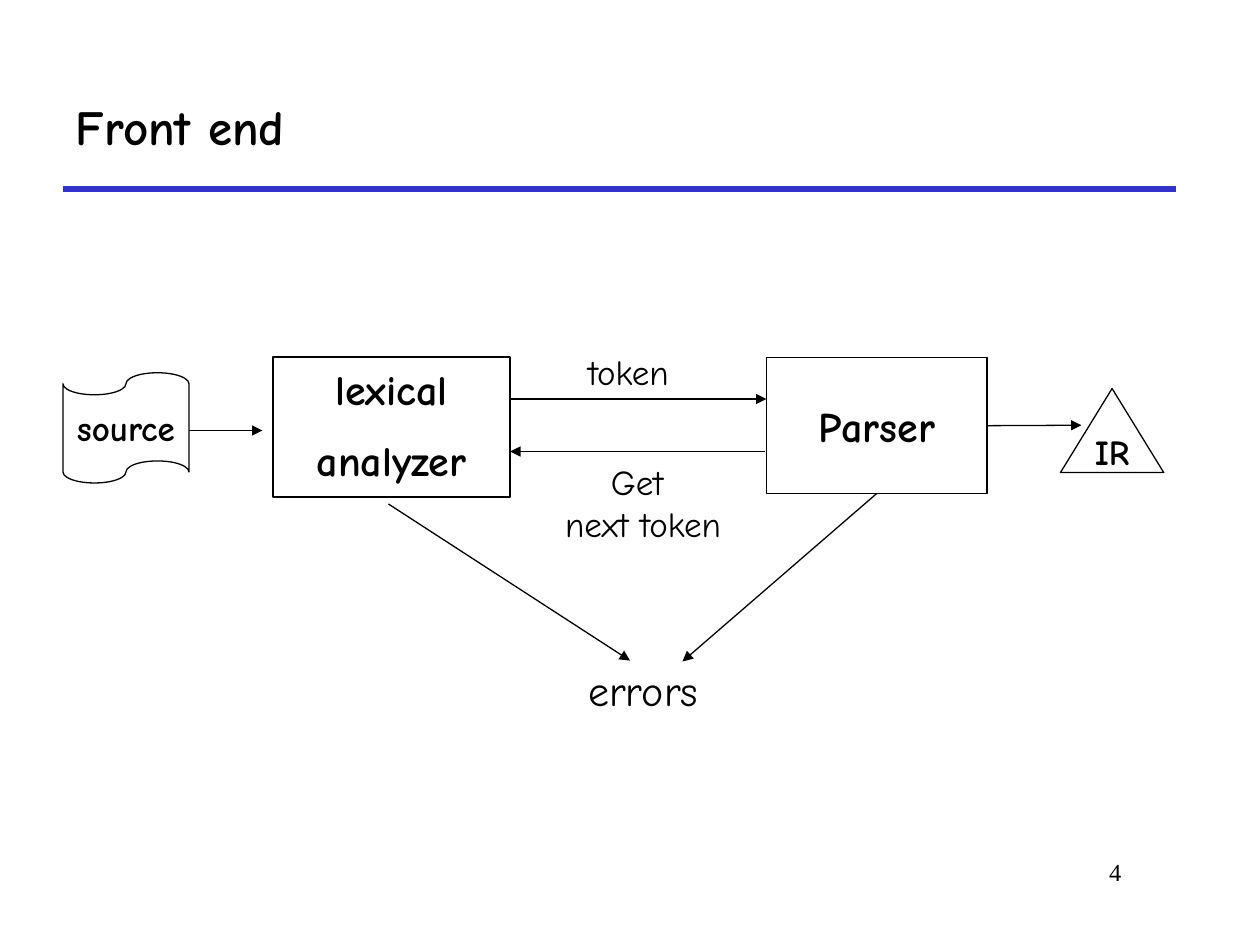
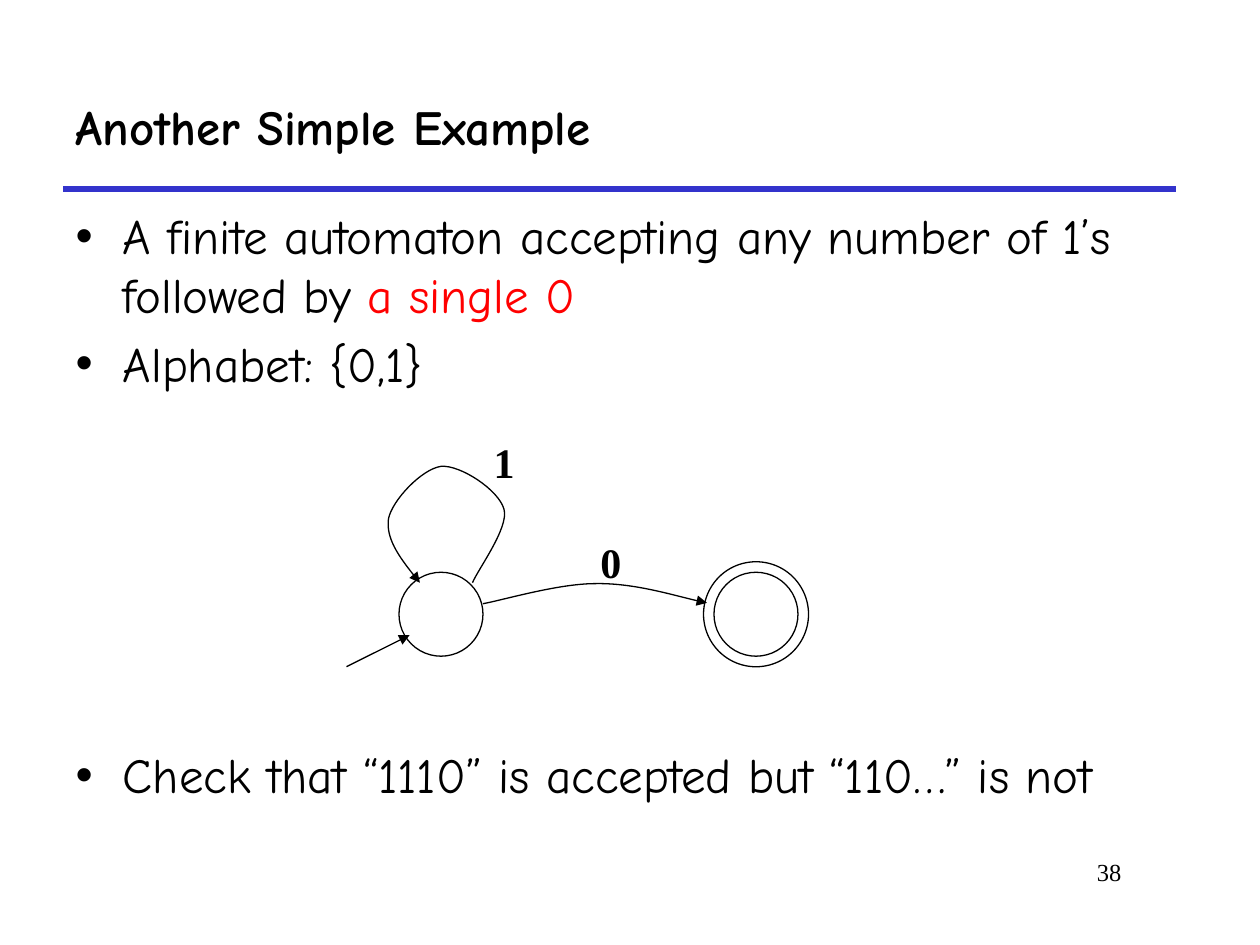
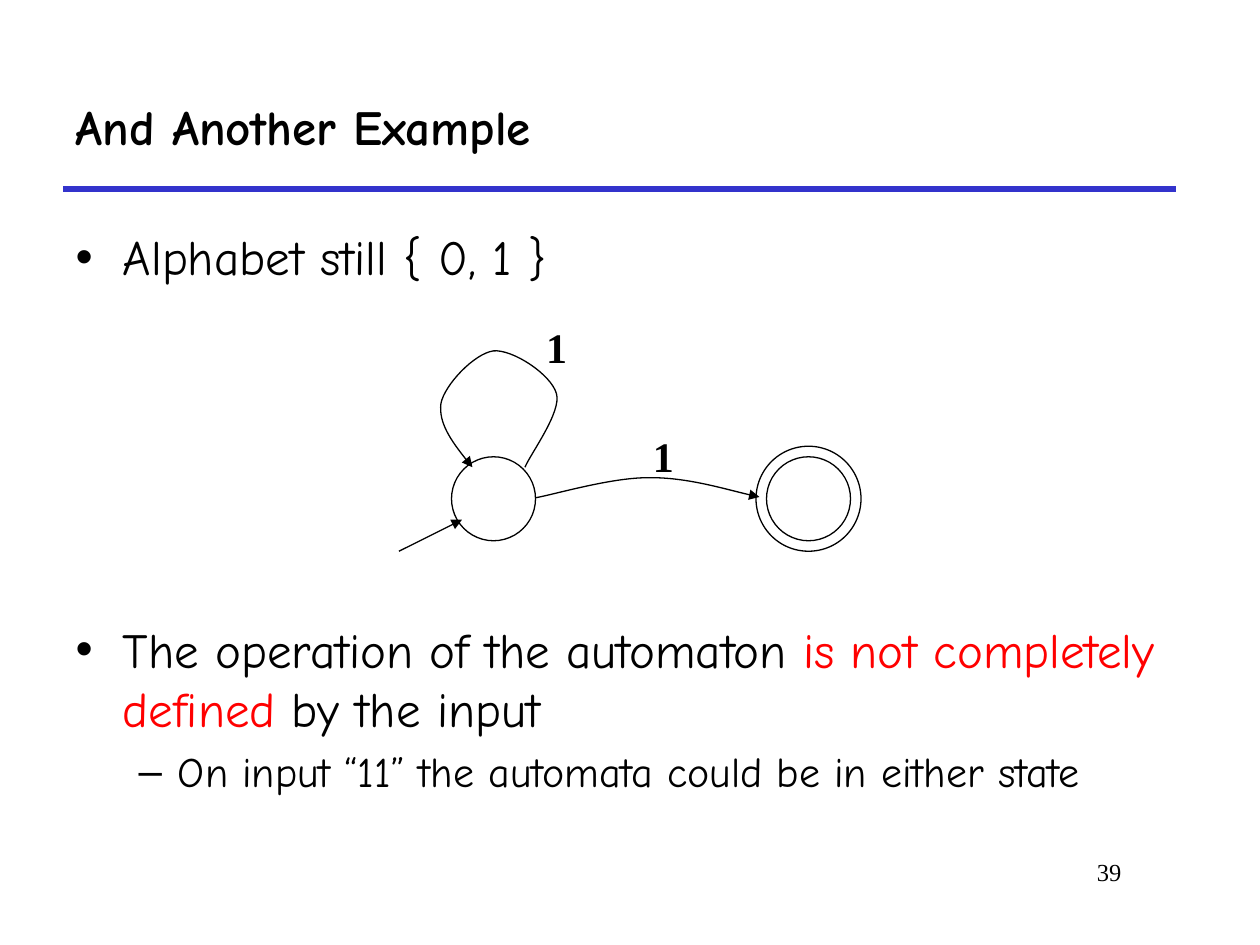
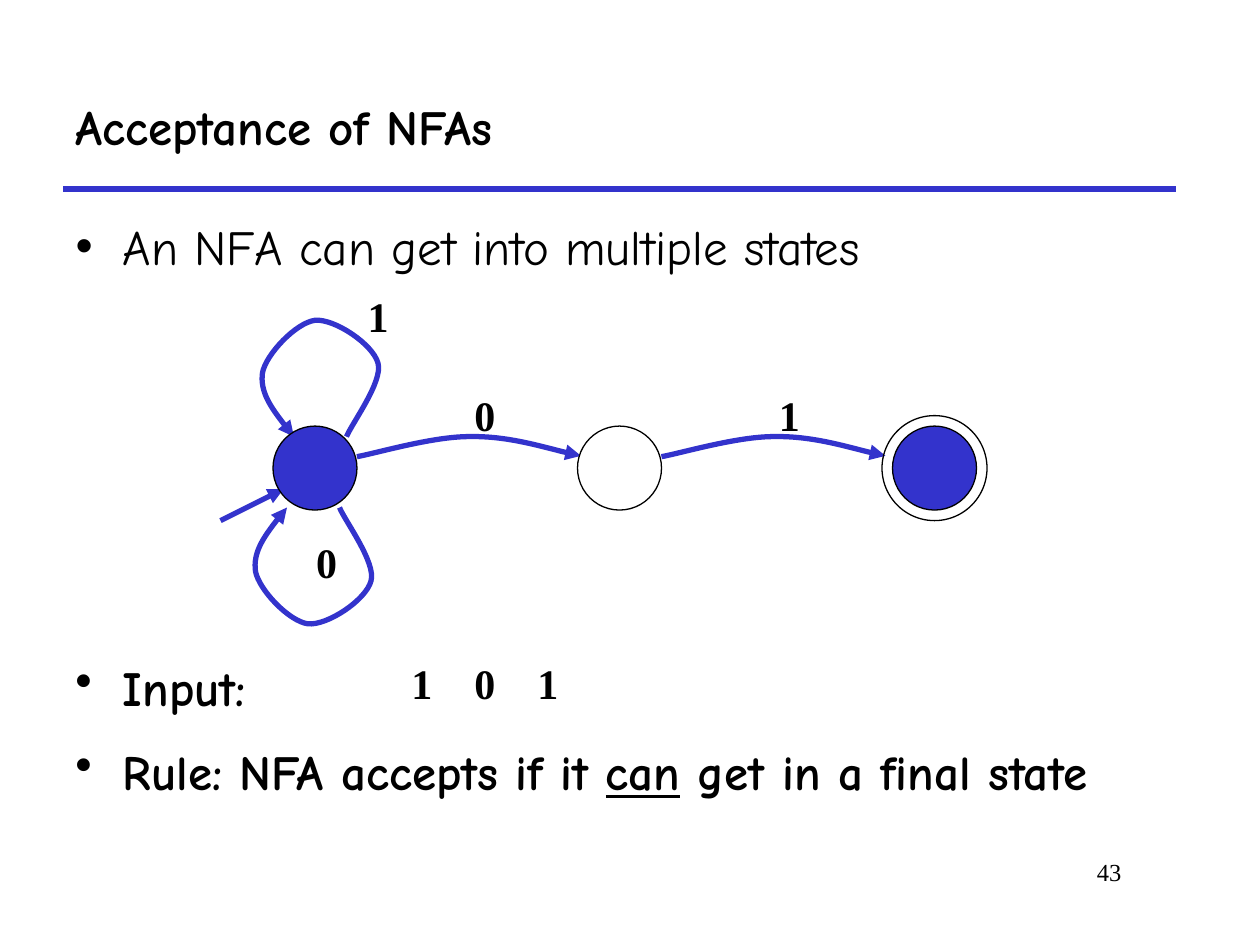
from lxml.etree import SubElement
from pptx import Presentation
from pptx.dml.color import RGBColor
from pptx.enum.shapes import MSO_CONNECTOR, MSO_SHAPE
from pptx.enum.text import MSO_ANCHOR, MSO_AUTO_SIZE, PP_ALIGN
from pptx.oxml.ns import qn
from pptx.util import Pt

BLACK = RGBColor(0x00, 0x00, 0x00)
WHITE = RGBColor(0xFF, 0xFF, 0xFF)
BLUE = RGBColor(0x33, 0x33, 0xCC)
RED = RGBColor(0xFF, 0x00, 0x00)

HAND = "Comic Neue"
SERIF = "Times New Roman"
TITLE = {"name": HAND, "size": Pt(28), "bold": True}
BODY = {"name": HAND, "size": Pt(28), "bold": False}
SUBITEM = {**BODY, "size": Pt(24)}
BOX = {"name": HAND, "size": Pt(24), "bold": True}
SMALL_BOX = {**BOX, "size": Pt(20)}
CAPTION = {"name": HAND, "size": Pt(20), "bold": False}
SYMBOL = {"name": SERIF, "size": Pt(24), "bold": True}
NUMBER = {"name": SERIF, "size": Pt(14), "bold": False}

THIN, THICK = 0.75, 3

# Bullet character, indent and hanging distance by list level
BULLETS = [("•", 27, 27), ("–", 58.5, 22.5)]

# State size, and arrow outlines as cubic curves
STATE = 48
RING = 6
LOOP = [(42, 6), (45, -1.5), (63, -25.5), (60, -36),
        (57, -47), (35, -61.5), (24, -60.5),
        (13, -59), (-4, -41), (-6, -30.5),
        (-7.5, -19.5), (1.5, -6.5), (12, 6)]
ARC = [(0, 0), (11, -2), (43, -11.5), (64, -11.5),
       (86, -12), (115, -3), (128, -0.5)]


class Deck:
    """Holds the shared style and the slide being built."""

    def __init__(self):
        self.presentation = Presentation()
        self.presentation.slide_width = Pt(720)
        self.presentation.slide_height = Pt(540)
        self.slide = None

    def add_slide(self, title, number, layout=1):
        first = self.slide is None
        self.slide = self.presentation.slides.add_slide(
            self.presentation.slide_layouts[layout])
        if first:
            # The rule under the title belongs to the master
            rule = self.line((36, 108), (672, 108), BLUE, THICK, arrow=False)
            self.presentation.slide_master.shapes.element.append(rule.element)
        heading = self.slide.shapes.title
        self.place(heading, 36, 36, 636, 72)
        self.fill_text(heading, [title], TITLE, PP_ALIGN.LEFT, MSO_ANCHOR.MIDDLE)
        self.text(str(number), 546, 486, NUMBER, 102, 36, PP_ALIGN.RIGHT, wrap=True)

    def place(self, shape, left, top, width, height):
        values = {"left": left, "top": top, "width": width, "height": height}
        for name, value in values.items():
            setattr(shape, name, Pt(value))

    def run(self, paragraph, text, style, color=BLACK):
        run = paragraph.add_run()
        run.text = text
        for name, value in style.items():
            setattr(run.font, name, value)
        run.font.color.rgb = color
        return run

    def fill_text(self, shape, lines, style, align=PP_ALIGN.LEFT,
                  anchor=MSO_ANCHOR.TOP, wrap=True, gap=0):
        frame = shape.text_frame
        frame.word_wrap = wrap
        frame.auto_size = MSO_AUTO_SIZE.NONE if wrap else MSO_AUTO_SIZE.SHAPE_TO_FIT_TEXT
        frame.vertical_anchor = anchor
        for index, line in enumerate(lines):
            paragraph = frame.add_paragraph() if index else frame.paragraphs[0]
            paragraph.alignment = align
            paragraph.space_before = Pt(gap if index else 0)
            self.run(paragraph, line, style)

    def text(self, text, left, top, style, width=26.5, height=36,
             align=PP_ALIGN.LEFT, wrap=False):
        box = self.slide.shapes.add_textbox(Pt(left), Pt(top), Pt(width), Pt(height))
        self.fill_text(box, text.split("\n"), style, align, wrap=wrap)

    def body(self, items, left, top, width, height):
        shape = self.slide.placeholders[1]
        self.place(shape, left, top, width, height)
        self.bullets(shape, items)

    def bullet_box(self, items, left, top, width, height):
        shape = self.slide.shapes.add_textbox(Pt(left), Pt(top), Pt(width), Pt(height))
        self.bullets(shape, items)

    def bullets(self, shape, items):
        """Each item is (level, space before, style, runs); a run is (text, color, underline)."""
        frame = shape.text_frame
        frame.word_wrap = True
        frame.auto_size = MSO_AUTO_SIZE.NONE
        for index, (level, gap, style, runs) in enumerate(items):
            paragraph = frame.add_paragraph() if index else frame.paragraphs[0]
            paragraph.level = level
            paragraph.space_before = Pt(gap)
            mark, indent, hanging = BULLETS[level]
            properties = paragraph._p.get_or_add_pPr()
            properties.set("marL", str(Pt(indent)))
            properties.set("indent", str(-Pt(hanging)))
            SubElement(properties, qn("a:buChar")).set("char", mark)
            for text, color, underline in runs:
                self.run(paragraph, text, style, color).font.underline = underline or None

    def shape(self, kind, left, top, width, height, fill=None):
        shape = self.slide.shapes.add_shape(
            kind, Pt(left), Pt(top), Pt(width), Pt(height))
        shape.shadow.inherit = False
        if fill is None:
            shape.fill.background()
        else:
            shape.fill.solid()
            shape.fill.fore_color.rgb = fill
        self.stroke(shape, BLACK, THIN)
        return shape

    def stroke(self, shape, color, width, arrow=False):
        shape.line.color.rgb = color
        shape.line.width = Pt(width)
        if arrow:
            outline = shape.element.spPr.get_or_add_ln()
            SubElement(outline, qn("a:tailEnd")).set("type", "triangle")

    def line(self, start, end, color=BLACK, width=THIN, arrow=True):
        connector = self.slide.shapes.add_connector(
            MSO_CONNECTOR.STRAIGHT, *(Pt(value) for value in (*start, *end)))
        self.stroke(connector, color, width, arrow)
        SubElement(connector.element.spPr, qn("a:effectLst"))
        return connector

    def curve(self, points, left, top, color, width):
        """Draws an arrow through cubic segments, three points for each."""
        points = [(Pt(left + x), Pt(top + y)) for x, y in points]
        builder = self.slide.shapes.build_freeform(*points[0])
        builder.add_line_segments(points[1:], close=False)
        shape = builder.convert_to_shape()
        outline = shape.element.find(".//" + qn("a:path"))
        segments = outline.findall(qn("a:lnTo"))
        for index in range(0, len(segments), 3):
            cubic = SubElement(outline, qn("a:cubicBezTo"))
            for segment in segments[index:index + 3]:
                cubic.append(segment[0])
                outline.remove(segment)
        shape.shadow.inherit = False
        shape.fill.background()
        self.stroke(shape, color, width, arrow=True)

    # Parts of an automaton; left and top are those of a state
    def state(self, left, top, fill=None, final=False):
        if final:
            size = STATE + 2 * RING
            self.shape(MSO_SHAPE.OVAL, left - RING, top - RING, size, size)
        self.shape(MSO_SHAPE.OVAL, left, top, STATE, STATE, fill)

    def start(self, left, top, color=BLACK, width=THIN):
        self.line((left - 30, top + 54), (left + 6, top + 36), color, width)

    def loop(self, left, top, symbol, color=BLACK, width=THIN, below=False):
        if below:
            points = [(x - 4, 52.5 - y) for x, y in LOOP]
            label = (17.5, 59.5)
        else:
            points, label = LOOP, (47, -81)
        self.curve(points, left, top, color, width)
        self.text(symbol, left + label[0], top + label[1], SYMBOL)

    def arc(self, left, top, symbol, drop=18, color=BLACK, width=THIN):
        self.curve(ARC, left + STATE, top + drop, color, width)
        self.text(symbol, left + STATE + 60, top + drop - 42, SYMBOL)

    def two_states(self, left, top, symbol, drop):
        self.arc(left, top, symbol, drop)
        self.state(left + 180, top, final=True)
        self.state(left, top)
        self.start(left, top)
        self.loop(left, top, "1")


def front_end(deck):
    deck.add_slide("Front end", 4, layout=5)

    # Stages
    lexer = deck.shape(MSO_SHAPE.RECTANGLE, 156, 204, 135.5, 80)
    deck.fill_text(lexer, ["lexical", "analyzer"], BOX, PP_ALIGN.CENTER, gap=12)
    parser = deck.shape(MSO_SHAPE.RECTANGLE, 438, 204.5, 126, 77.5)
    deck.fill_text(parser, ["Parser"], BOX, PP_ALIGN.CENTER, MSO_ANCHOR.MIDDLE)

    # Input and result
    for kind, label, bounds in [
            (MSO_SHAPE.FLOWCHART_PUNCHED_TAPE, "source", (36, 213, 72, 63)),
            (MSO_SHAPE.ISOSCELES_TRIANGLE, "IR", (606, 222, 59, 48))]:
        shape = deck.shape(kind, *bounds, fill=WHITE)
        deck.fill_text(shape, [label], SMALL_BOX, PP_ALIGN.CENTER, MSO_ANCHOR.MIDDLE, wrap=False)
        shape.text_frame.auto_size = MSO_AUTO_SIZE.NONE

    # Arrows
    for start, end in [((108, 246), (150, 246)), ((292, 228), (438, 228)),
                       ((437, 258), (291.5, 258)), ((222, 288), (360, 377.5))]:
        deck.line(start, end)
    deck.line((564, 243), (618, 243)).begin_connect(parser, 3)
    deck.line((501, 282), (390, 378)).begin_connect(parser, 2)

    # Captions
    deck.text("token", 329, 196.5, CAPTION, 67, 31)
    deck.text("errors", 329, 376, SUBITEM, 86.5, 36)
    deck.text("Get \nnext token", 309.5, 259.5, CAPTION, 116, 55.5, PP_ALIGN.CENTER)


def simple_example(deck):
    deck.add_slide("Another Simple Example", 38)
    deck.body([
        (0, 0, BODY, [("A finite automaton accepting any number of 1’s followed by ", BLACK, False),
                      ("a single 0", RED, False)]),
        (0, 5.6, BODY, [("Alphabet: {0,1}", BLACK, False)]),
        (0, 201.6, BODY, [("Check that “1110” is accepted but “110…” is not", BLACK, False)]),
    ], 36, 114, 654, 366)
    deck.two_states(228, 327, "0", drop=18)


def another_example(deck):
    deck.add_slide("And Another Example", 39)
    deck.body([
        (0, 0, BODY, [("Alphabet still { 0, 1 }", BLACK, False)]),
        (0, 190.8, BODY, [("The operation of the automaton ", BLACK, False),
                          ("is not completely defined", RED, False),
                          (" by the input", BLACK, False)]),
        (1, 4.8, SUBITEM, [("On input “11” the automata could be in either state", BLACK, False)]),
    ], 36, 126, 654, 348)
    deck.two_states(258, 261, "1", drop=23.5)


def acceptance(deck):
    deck.add_slide("Acceptance of NFAs", 43)

    # Statements
    deck.body([(0, 0, BODY, [("An NFA can get into multiple states", BLACK, False)])],
              36, 120, 654, 66)
    deck.bullet_box([(0, 0, TITLE, [("Input:", BLACK, False)])], 36, 372, 132, 42)
    for index, symbol in enumerate("101"):
        deck.text(symbol, 228 + 36 * index, 372, SYMBOL)
    deck.bullet_box([(0, 0, TITLE, [("Rule: NFA accepts if it ", BLACK, False),
                                    ("can", BLACK, True),
                                    (" get in a final state", BLACK, False)])],
                    36, 420, 648, 42)

    # Automaton
    first, middle, last, top = 156, 330, 510, 243.5
    active = {"color": BLUE, "width": THICK}
    deck.start(first, top, **active)
    deck.loop(first, top, "1", **active)
    deck.loop(first, top, "0", below=True, **active)
    deck.arc(first, top, "0", 17.5, **active)
    deck.arc(middle, top, "1", 17.5, **active)
    deck.state(last, top, BLUE, final=True)
    deck.state(first, top, BLUE)
    deck.state(middle, top, WHITE)


def main():
    deck = Deck()
    for build in (front_end, simple_example, another_example, acceptance):
        build(deck)
    deck.presentation.save("out.pptx")


if __name__ == "__main__":
    main()
